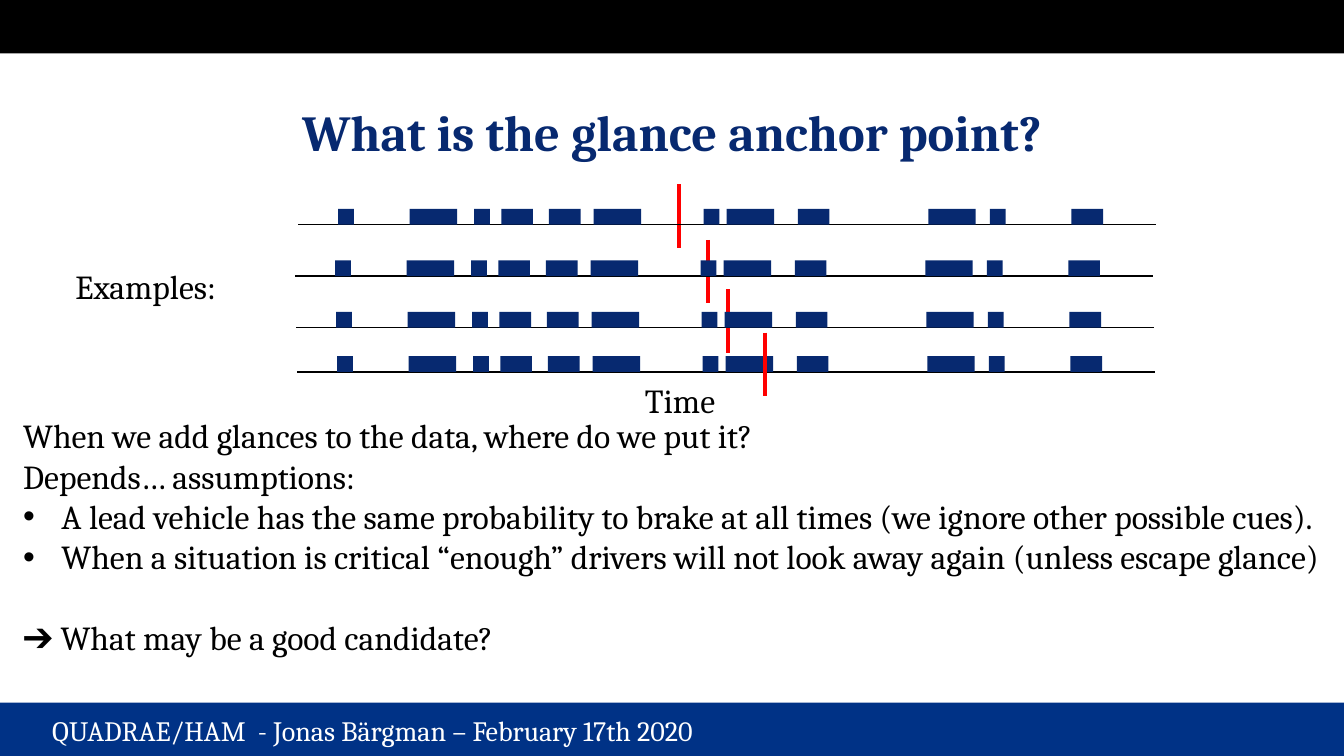
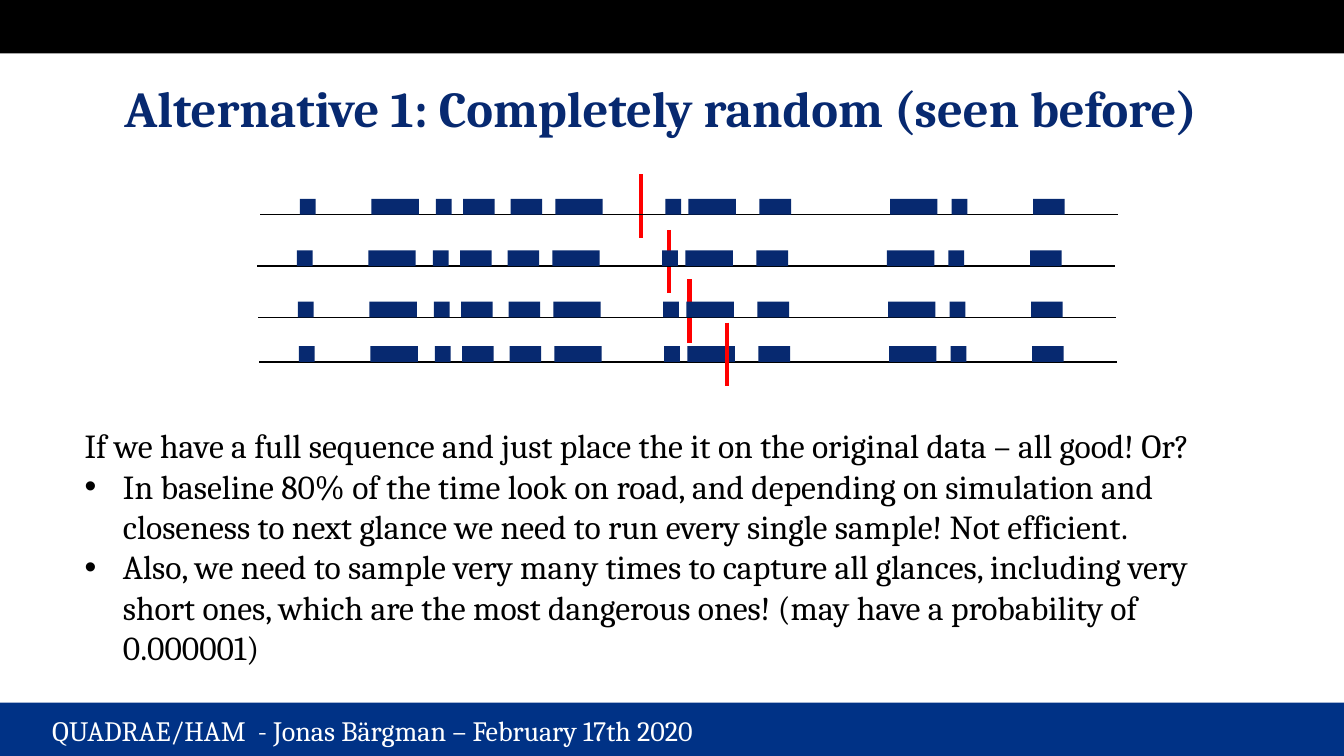
"""Build two slides that show where glances can be anchored on a timeline."""

import lxml.etree
import pptx
import pptx.dml.color
import pptx.enum.shapes
import pptx.enum.text
import pptx.oxml.ns
import pptx.util

BLACK = pptx.dml.color.RGBColor(0x00, 0x00, 0x00)
WHITE = pptx.dml.color.RGBColor(0xFF, 0xFF, 0xFF)
NAVY = pptx.dml.color.RGBColor(0x07, 0x29, 0x70)
BAND_BLUE = pptx.dml.color.RGBColor(0x00, 0x32, 0x86)
RED = pptx.dml.color.RGBColor(0xFF, 0x00, 0x00)

FONT = "Cambria"
COLUMNS, ROWS = 80, 45
WIDTH, HEIGHT = pptx.util.Inches(13.33), pptx.util.Inches(7.5)
BAND_ROWS = 3.18
HANGING = pptx.util.Inches(0.38)

GLANCE = 0.94
GLANCES = [(2.37, 1), (6.63, 3), (10.47, 1), (12.09, 2), (14.92, 2), (17.58, 3),
           (24.12, 1), (25.5, 3), (29.73, 2), (37.5, 3), (41.16, 1), (46.02, 2)]
TIMELINE_LENGTH = 51.06
TIMELINES = [(0, 0), (-0.18, 3.06), (-0.12, 6.12), (-0.06, 8.76)]
ANCHOR_LENGTH = 3.78
ANCHORS = [(22.68, -2.4), (24.36, 0.9), (25.56, 3.84), (27.78, 6.42)]


def write(paragraph, text, *, size=24, color=BLACK, bold=False, align=None,
          bullet=None, before=0):
    """Fill a paragraph with formatted text."""
    paragraph.alignment = align or pptx.enum.text.PP_ALIGN.LEFT
    paragraph.space_before = pptx.util.Pt(before)
    run = paragraph.add_run()
    run.text = text
    run.font.name = FONT
    run.font.size = pptx.util.Pt(size)
    run.font.bold = bold
    run.font.color.rgb = color
    properties = paragraph._p.get_or_add_pPr()
    indent = HANGING if bullet else 0
    properties.set("marL", str(indent))
    properties.set("indent", str(-indent))
    if bullet:
        qn = pptx.oxml.ns.qn
        lxml.etree.SubElement(properties, qn("a:buFont"), typeface="Arial")
        lxml.etree.SubElement(properties, qn("a:buChar"), char=bullet)
    else:
        lxml.etree.SubElement(properties, pptx.oxml.ns.qn("a:buNone"))


class Deck:
    """Hold the shared style and the current slide."""

    def __init__(self):
        self.presentation = pptx.Presentation()
        self.presentation.slide_width = WIDTH
        self.presentation.slide_height = HEIGHT
        self.slide = None

    def x(self, columns):
        """Convert grid columns to a length."""
        return round(WIDTH * columns / COLUMNS)

    def y(self, rows):
        """Convert grid rows to a length."""
        return round(HEIGHT * rows / ROWS)

    def box(self, left, top, width, height):
        """Convert a grid box to lengths."""
        return self.x(left), self.y(top), self.x(width), self.y(height)

    def new_slide(self):
        """Start a slide with its bands and footer."""
        layout = self.presentation.slide_layouts[1]
        self.slide = self.presentation.slides.add_slide(layout)
        self.block(self.slide, 0, 0, COLUMNS, BAND_ROWS, BLACK)
        self.block(self.slide, 0, ROWS - BAND_ROWS, COLUMNS, BAND_ROWS, BAND_BLUE)
        self.label("QUADRAE/HAM  - Jonas Bärgman – February 17th 2020",
                   2.52, 42.18, 77.4, 2.64, size=20, color=WHITE)

    def block(self, parent, left, top, width, height, color):
        """Draw a plain filled rectangle."""
        rectangle = parent.shapes.add_shape(
            pptx.enum.shapes.MSO_SHAPE.RECTANGLE, *self.box(left, top, width, height))
        rectangle.shadow.inherit = False
        rectangle.fill.solid()
        rectangle.fill.fore_color.rgb = color
        rectangle.line.fill.background()

    def line(self, parent, left, top, right, bottom, color, weight):
        """Draw a straight line."""
        stroke = parent.shapes.add_connector(
            pptx.enum.shapes.MSO_CONNECTOR.STRAIGHT,
            self.x(left), self.y(top), self.x(right), self.y(bottom))
        stroke.line.color.rgb = color
        stroke.line.width = pptx.util.Pt(weight)
        lxml.etree.SubElement(stroke.element.spPr, pptx.oxml.ns.qn("a:effectLst"))

    def label(self, text, left, top, width, height, **style):
        """Place one line of free text."""
        caption = self.slide.shapes.add_textbox(*self.box(left, top, width, height))
        caption.text_frame.word_wrap = False
        write(caption.text_frame.paragraphs[0], text, **style)

    def place(self, placeholder, box, anchor):
        """Move a placeholder and return its prepared text frame."""
        (placeholder.left, placeholder.top,
         placeholder.width, placeholder.height) = self.box(*box)
        frame = placeholder.text_frame
        frame.word_wrap = True
        frame.auto_size = pptx.enum.text.MSO_AUTO_SIZE.NONE
        frame.vertical_anchor = anchor
        return frame

    def title(self, text, *box):
        """Fill the title placeholder."""
        frame = self.place(self.slide.shapes.title, box,
                           pptx.enum.text.MSO_ANCHOR.MIDDLE)
        write(frame.paragraphs[0], text, size=36, color=NAVY, bold=True,
              align=pptx.enum.text.PP_ALIGN.CENTER)

    def body(self, entries, *box):
        """Fill the body placeholder with (text, style) entries."""
        frame = self.place(self.slide.placeholders[1], box,
                           pptx.enum.text.MSO_ANCHOR.TOP)
        for index, (text, style) in enumerate(entries):
            paragraph = frame.add_paragraph() if index else frame.paragraphs[0]
            write(paragraph, text, **style)

    def anchor(self, left, top):
        """Mark one anchor point."""
        self.line(self.slide, left, top, left, top + ANCHOR_LENGTH, RED, 3)

    def timeline(self, left, top):
        """Draw one baseline with its glances as a group."""
        group = self.slide.shapes.add_group_shape()
        self.line(group, left, top, left + TIMELINE_LENGTH, top, BLACK, 1)
        for start, units in GLANCES:
            self.block(group, left + start, top - GLANCE, units * GLANCE, GLANCE, NAVY)

    def glance_diagram(self, left, top):
        """Draw the timelines between the rear anchors and the front one."""
        anchors = [(left + dx, top + dy) for dx, dy in ANCHORS]
        for position in anchors[:-1]:
            self.anchor(*position)
        for dx, dy in TIMELINES:
            self.timeline(left + dx, top + dy)
        self.anchor(*anchors[-1])


def main():
    """Build and save both slides."""
    deck = Deck()
    plain, listed = {}, {"bullet": "•"}

    deck.new_slide()
    deck.title("What is the glance anchor point?", 10.8, 4.08, 58.38, 7.5)
    deck.glance_diagram(17.76, 13.38)
    deck.label("Examples:", 3.9, 15.54, 9.72, 3)
    deck.label("Time", 37.8, 22.32, 5.4, 3)
    deck.body([
        ("When we add glances to the data, where do we put it?", plain),
        ("Depends… assumptions:", plain),
        ("A lead vehicle has the same probability to brake at all times "
         "(we ignore other possible cues).", listed),
        ("When a situation is critical “enough” drivers will not look away again "
         "(unless escape glance)", listed),
        ("➔ What may be a good candidate?", {"before": 29}),
    ], 0.78, 24.42, 78.42, 17.4)

    deck.new_slide()
    deck.title("Alternative 1: Completely random (seen before)", 6.48, 2.64, 65.7, 7.5)
    deck.glance_diagram(15.48, 12.78)
    deck.body([
        ("If we have a full sequence and just place the it on the original data "
         "– all good! Or?", plain),
        ("In baseline 80% of the time look on road, and depending on simulation and "
         "closeness to next glance we need to run every single sample! "
         "Not efficient.", listed),
        ("Also, we need to sample very many times to capture all glances, including "
         "very short ones, which are the most dangerous ones! "
         "(may have a probability of 0.000001)", listed),
    ], 4.44, 25.02, 70.26, 16.8)

    deck.presentation.save("out.pptx")


if __name__ == "__main__":
    main()
